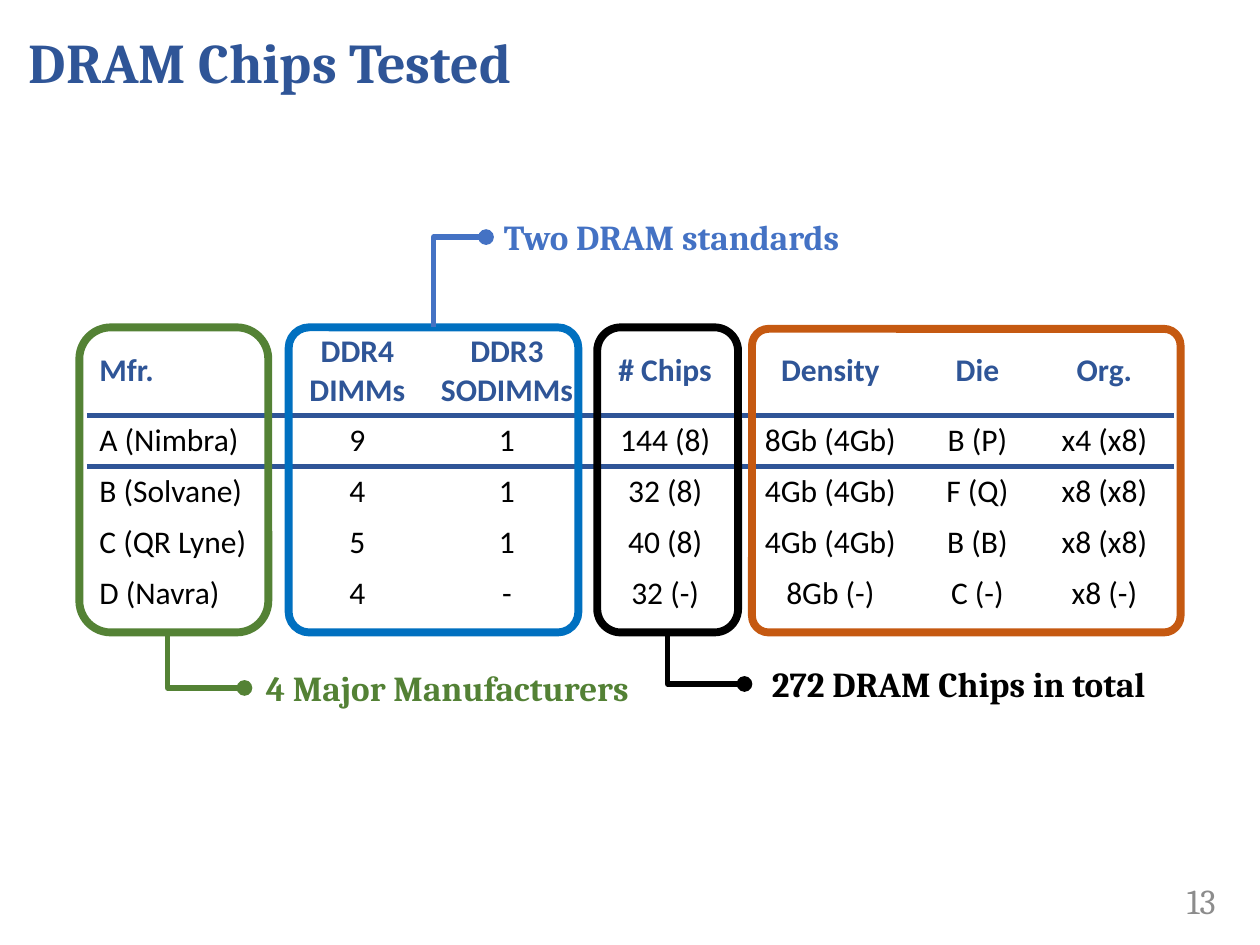
"""Build the slide on the DRAM chips tested."""
from dataclasses import dataclass
from typing import Optional

from lxml import etree
from pptx import Presentation
from pptx import util as u
from pptx.dml.color import RGBColor
from pptx.enum import shapes, text
from pptx.oxml import ns

NAVY = RGBColor(0x2F, 0x55, 0x97)
BLUE = RGBColor(0x00, 0x70, 0xC0)
SKY = RGBColor(0x44, 0x72, 0xC4)
GREEN = RGBColor(0x54, 0x82, 0x35)
LEAF = RGBColor(0x53, 0x81, 0x35)
RUST = RGBColor(0xC5, 0x59, 0x11)
BLACK = RGBColor(0, 0, 0)
GRAY = RGBColor(0x8C, 0x8C, 0x8C)

PLAIN = "{2D5ABB26-0587-4C30-8999-92F81FD0307C}"
WIDTHS = (4.1, 2.71, 3.32, 3.06, 3.6, 2.33, 2.79)
HEIGHTS = (1.79, 1.03, 1.03, 1.03, 1.03)
ROWS = (
    ("Mfr.", "DDR4 DIMMs", "DDR3 SODIMMs", "# Chips", "Density", "Die", "Org."),
    ("A (Nimbra)", "9", "1", "144 (8)", "8Gb (4Gb)", "B (P)", "x4 (x8)"),
    ("B (Solvane)", "4", "1", "32 (8)", "4Gb (4Gb)", "F (Q)", "x8 (x8)"),
    ("C (QR Lyne)", "5", "1", "40 (8)", "4Gb (4Gb)", "B (B)", "x8 (x8)"),
    ("D (Navra)", "4", "-", "32 (-)", "8Gb (-)", "C (-)", "x8 (-)"),
)
RULES = {0: "lnB", 1: "lnT"}


@dataclass
class Frame:
    """A rounded outline around table columns."""
    name: str
    left: float
    top: float
    width: float
    height: float
    color: RGBColor
    round: float = 0.167


@dataclass
class Callout:
    """A label with a dotted elbow line to a frame."""
    words: str
    left: float
    top: float
    color: RGBColor
    line: RGBColor
    dot: tuple[float, float]
    end: tuple[float, float]
    frame: str
    site: Optional[int] = None


FRAMES = (
    Frame("chips", 12.04, 6.6, 2.84, 6.15, BLACK),
    Frame("makers", 1.6, 6.6, 3.81, 6.15, GREEN),
    Frame("modules", 5.82, 6.6, 5.84, 6.15, BLUE, 0.071),
    Frame("details", 15.16, 6.63, 8.64, 6.12, RUST, 0.055),
)
CALLOUTS = (
    Callout("272 DRAM Chips in total", 15.01, 13.23, BLACK, BLACK,
            (15.01, 13.79), (13.46, 12.75), "chips", 2),
    Callout("Two DRAM standards", 9.22, 4.22, SKY, SKY,
            (9.8, 4.78), (8.74, 6.6), "modules", 0),
    Callout("4 Major Manufacturers", 4.7, 13.31, LEAF, GREEN,
            (4.93, 13.87), (3.38, 12.8), "makers"),
)


def write(para, words: str, size: float, color: RGBColor, bold: bool,
          align=text.PP_ALIGN.CENTER, face: str = "Cambria") -> None:
    """Add one styled run to a paragraph."""
    para.alignment = align
    run = para.add_run()
    run.text = words
    font = run.font
    font.name, font.size, font.bold = face, u.Pt(size), bold
    font.color.rgb = color


def add_box(slide, left: float, top: float, width: float, height: float):
    """Add a wrapping text box and return its frame."""
    box = slide.shapes.add_textbox(*map(u.Cm, (left, top, width, height)))
    box.text_frame.word_wrap = True
    return box.text_frame


def rule(cell, side: str) -> None:
    """Draw one border of a cell."""
    line = etree.Element(ns.qn(f"a:{side}"), w=str(u.Pt(3)))
    fill = etree.SubElement(line, ns.qn("a:solidFill"))
    etree.SubElement(fill, ns.qn("a:srgbClr"), val=str(NAVY))
    cell._tc.get_or_add_tcPr().insert(0, line)


def add_grid(slide) -> None:
    """Add the table of tested chips."""
    grid = slide.shapes.add_table(
        len(ROWS), len(WIDTHS), u.Cm(1.75), u.Cm(6.58),
        u.Cm(sum(WIDTHS)), u.Cm(sum(HEIGHTS))).table
    grid.horz_banding = False
    grid._tbl.tblPr.find(ns.qn("a:tableStyleId")).text = PLAIN
    for col, width in zip(grid.columns, WIDTHS):
        col.width = u.Cm(width)
    for i, (row, height) in enumerate(zip(grid.rows, HEIGHTS)):
        row.height = u.Cm(height)
        for j, cell in enumerate(row.cells):
            head = i == 0
            cell.fill.background()
            if head or j:
                cell.vertical_anchor = text.MSO_ANCHOR.MIDDLE
            write(cell.text_frame.paragraphs[0], ROWS[i][j], 18,
                  NAVY if head else BLACK, head,
                  text.PP_ALIGN.CENTER if j else text.PP_ALIGN.LEFT, "Calibri")
            if i in RULES:
                rule(cell, RULES[i])


def add_frame(slide, item: Frame):
    """Add a rounded outline."""
    box = slide.shapes.add_shape(
        shapes.MSO_SHAPE.ROUNDED_RECTANGLE,
        *map(u.Cm, (item.left, item.top, item.width, item.height)))
    box.shadow.inherit = False
    box.adjustments[0] = item.round
    box.fill.background()
    box.line.color.rgb = item.color
    box.line.width = u.Pt(4.5)
    return box


def add_callout(slide, item: Callout, boxes: dict) -> None:
    """Add a label and its elbow line."""
    label = add_box(slide, item.left, item.top, 8.64, 1.12)
    write(label.paragraphs[0], item.words, 20, item.color, True)
    link = slide.shapes.add_connector(
        shapes.MSO_CONNECTOR.ELBOW, *map(u.Cm, item.dot + item.end))
    if item.site is not None:
        link.end_connect(boxes[item.frame], item.site)
    link.line.color.rgb = item.line
    link.line.width = u.Pt(3)
    props = link._element.spPr
    props.find(ns.qn("a:prstGeom")).set("prst", "bentConnector2")
    etree.SubElement(props.find(ns.qn("a:ln")), ns.qn("a:headEnd"), type="oval")
    etree.SubElement(props, ns.qn("a:effectLst"))


def main() -> None:
    """Build and save the deck."""
    deck = Presentation()
    deck.slide_width, deck.slide_height = u.Cm(25.4), u.Cm(19.05)
    slide = deck.slides.add_slide(deck.slide_layouts[5])

    title = slide.shapes.title
    title.left, title.top = u.Cm(0.33), u.Cm(-0.36)
    title.width, title.height = u.Cm(19.2), u.Cm(3.18)
    title.text_frame.vertical_anchor = text.MSO_ANCHOR.MIDDLE
    para = title.text_frame.paragraphs[0]
    para.space_after = u.Pt(6)
    write(para, "DRAM Chips Tested", 32, NAVY, True, text.PP_ALIGN.LEFT)

    page = add_box(slide, 22.02, 17.65, 2.74, 1.02)
    page.vertical_anchor = text.MSO_ANCHOR.MIDDLE
    write(page.paragraphs[0], "13", 20, GRAY, False, text.PP_ALIGN.RIGHT)

    add_grid(slide)
    boxes = {item.name: add_frame(slide, item) for item in FRAMES}
    for item in CALLOUTS:
        add_callout(slide, item, boxes)
    deck.save("out.pptx")


if __name__ == "__main__":
    main()
